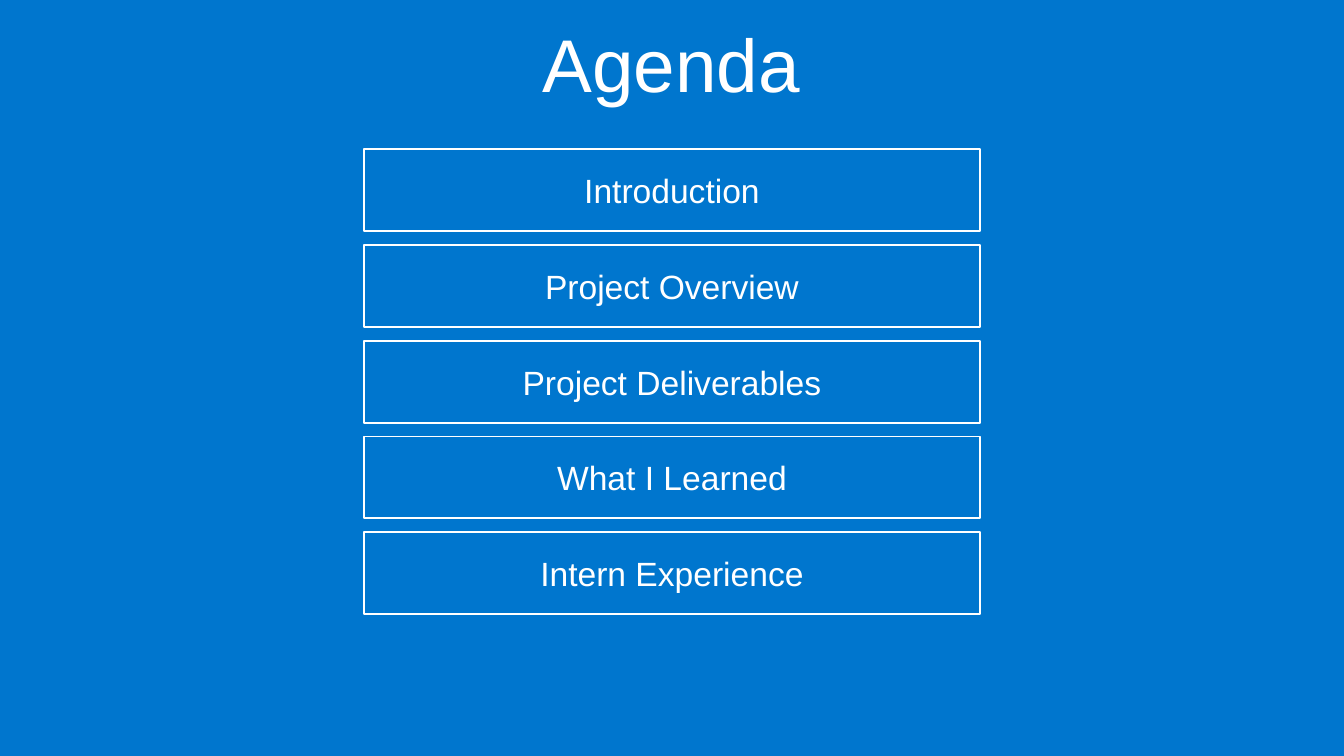
"""Build an agenda slide with a centred title and five outlined topic boxes."""
from pptx import Presentation
from pptx.dml.color import RGBColor
from pptx.enum.shapes import MSO_SHAPE
from pptx.enum.text import MSO_ANCHOR, PP_ALIGN
from pptx.util import Inches, Pt

BLUE = RGBColor(0x00, 0x76, 0xCE)
WHITE = RGBColor(0xFF, 0xFF, 0xFF)
TOPICS = [
    "Introduction",
    "Project Overview",
    "Project Deliverables",
    "What I Learned",
    "Intern Experience",
]
FIRST_TOP = 1.11
LAST_TOP = 3.96
ROW_STEP = (LAST_TOP - FIRST_TOP) / (len(TOPICS) - 1)


def write_text(box, text, size, anchor):
    frame = box.text_frame
    frame.text = text
    frame.word_wrap = True
    frame.vertical_anchor = anchor
    paragraph = frame.paragraphs[0]
    paragraph.alignment = PP_ALIGN.CENTER
    font = paragraph.runs[0].font
    font.name = "Arial"
    font.size = Pt(size)
    font.color.rgb = WHITE
    return frame


deck = Presentation()
deck.slide_width = Inches(10)
deck.slide_height = Inches(10 * 9 / 16)
page = deck.slides.add_slide(deck.slide_layouts[5])
page.background.fill.solid()
page.background.fill.fore_color.rgb = BLUE

title = page.shapes.title
title.left, title.top = Inches(0.33), Inches(0.2)
title.width, title.height = Inches(9.33), Inches(0.61)
title_frame = write_text(title, "Agenda", 40, MSO_ANCHOR.BOTTOM)
title_frame.margin_left = title_frame.margin_right = Inches(0)
title_frame.margin_top = title_frame.margin_bottom = Inches(0)
title_frame.paragraphs[0].line_spacing = 0.9

for row, topic in enumerate(TOPICS):
    top = Inches(FIRST_TOP + row * ROW_STEP)
    box = page.shapes.add_shape(
        MSO_SHAPE.RECTANGLE, Inches(2.71), top, Inches(4.58), Inches(0.61)
    )
    box.shadow.inherit = False
    box.fill.solid()
    box.fill.fore_color.rgb = BLUE
    box.line.color.rgb = WHITE
    box.line.width = Pt(1)
    write_text(box, topic, 18, MSO_ANCHOR.MIDDLE)

deck.save("out.pptx")
